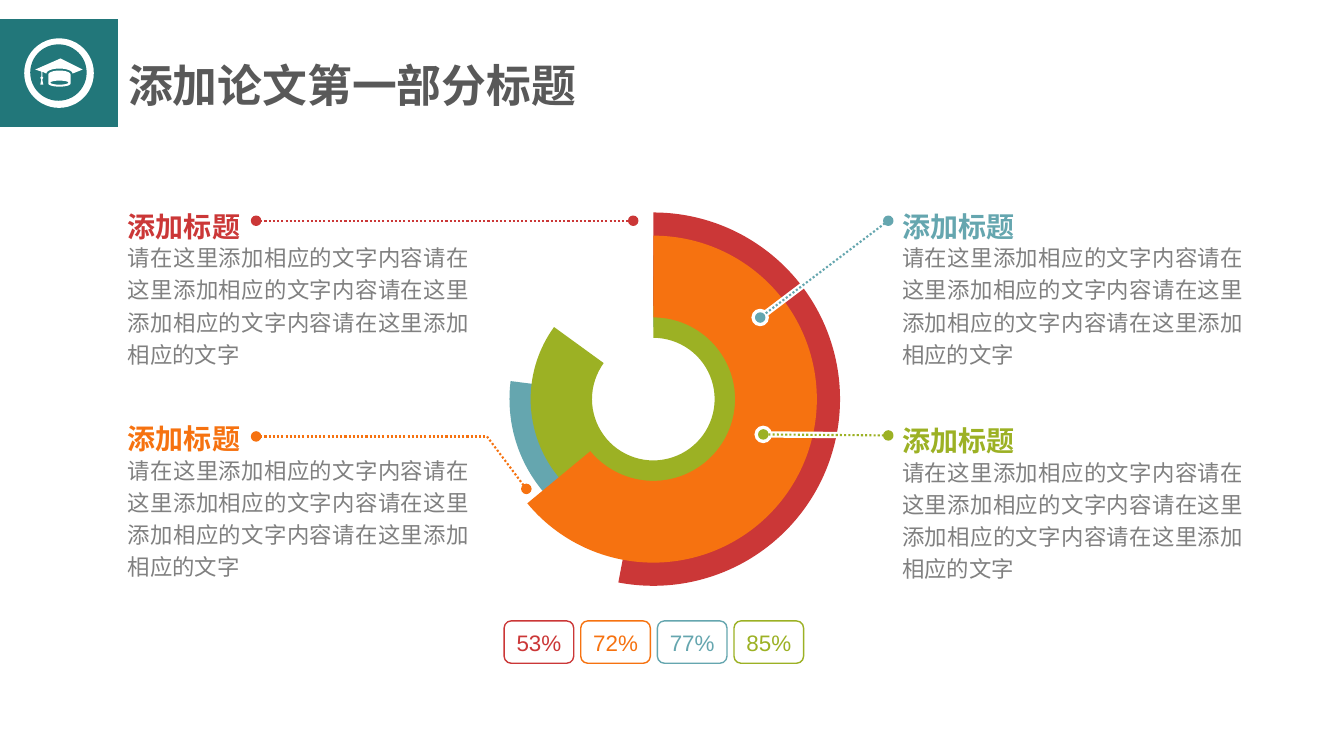
from itertools import pairwise
from math import cos, radians, sin

from lxml.etree import SubElement
from pptx import Presentation
from pptx.chart.data import CategoryChartData
from pptx.dml.color import RGBColor
from pptx.enum.chart import XL_CHART_TYPE as ChartType
from pptx.enum.dml import MSO_LINE as Dash
from pptx.enum.shapes import MSO_CONNECTOR as Connector
from pptx.enum.shapes import MSO_SHAPE as Shape
from pptx.enum.text import MSO_ANCHOR as Anchor
from pptx.enum.text import MSO_AUTO_SIZE as AutoSize
from pptx.enum.text import PP_ALIGN as Align
from pptx.oxml.ns import qn
from pptx.util import Inches, Pt

CJK = "Noto Sans CJK SC"
RED, ORANGE, TEAL, GREEN = "CB3737", "F67210", "65A6AF", "9CB124"
BRAND, WHITE, DARK, GREY = "22777A", "FFFFFF", "595959", "808080"
BODY = "请在这里添加相应的文字内容" * 3 + "请在这里添加相应的文字"


def color(value):
    return RGBColor.from_string(value)


def place(box, left, top, width, height):
    box.left, box.top = Inches(left), Inches(top)
    box.width, box.height = Inches(width), Inches(height)


def write(box, text, size, tint, font=CJK, bold=False, align=Align.LEFT, spacing=1.0):
    para = box.text_frame.paragraphs[0]
    para.text = text
    para.alignment, para.line_spacing = align, spacing
    para.font.size, para.font.bold = Pt(size), bold
    para.font.color.rgb = color(tint)
    para.font.name = font
    defaults = para._p.pPr.find(qn("a:defRPr"))
    SubElement(defaults, qn("a:ea"), typeface=font)


def add_text(slide, left, top, width, height, text, wrap=True, **style):
    box = slide.shapes.add_textbox(*map(Inches, (left, top, width, height)))
    box.text_frame.word_wrap = wrap
    box.text_frame.auto_size = AutoSize.SHAPE_TO_FIT_TEXT
    write(box, text, **style)


def add_shape(slide, kind, left, top, width, height, fill=None, line=None):
    shape = slide.shapes.add_shape(kind, *map(Inches, (left, top, width, height)))
    shape.shadow.inherit = False
    if fill:
        shape.fill.solid()
        shape.fill.fore_color.rgb = color(fill)
    else:
        shape.fill.background()
    if line:
        shape.line.color.rgb = color(line)
        shape.line.width = Pt(1)
    else:
        shape.line.fill.background()
    return shape


def add_dot(slide, center, size, tint):
    x, y = center
    add_shape(slide, Shape.OVAL, x - size / 2, y - size / 2, size, size, tint, tint)


def add_line(slide, start, end, tint, width, dash=None):
    line = slide.shapes.add_connector(Connector.STRAIGHT, *map(Inches, (*start, *end)))
    line.line.color.rgb = color(tint)
    line.line.width = Pt(width)
    if dash:
        line.line.dash_style = dash
    SubElement(line._element.spPr, qn("a:effectLst"))


def arc(x, y, radius_x, radius_y, start, end, steps=16):
    angles = [radians(start + (end - start) * i / steps) for i in range(steps + 1)]
    return [(x + radius_x * cos(a), y + radius_y * sin(a)) for a in angles]


def add_cap(slide, left, top):
    """Graduation cap: board with tassel, crown and its opening."""
    board = arc(0.24, 0.15, 0.13, 0.05, 0, -180) + [
        (0.07, 0.13), (0.07, 0.18), (0.08, 0.19), (0.07, 0.21), (0.08, 0.26), (0.05, 0.26),
        (0.06, 0.21), (0.05, 0.19), (0.06, 0.18), (0.06, 0.13), (0, 0.11), (0.25, 0), (0.47, 0.11)]
    crown = arc(0.24, 0.16, 0.11, 0.04, -180, 0) + arc(0.24, 0.25, 0.11, 0.03, 0, 180)
    opening = arc(0.24, 0.24, 0.09, 0.02, 0, 360)
    contours = [[(Inches(left + x), Inches(top + y)) for x, y in points]
                for points in (board, crown, opening)]
    builder = slide.shapes.build_freeform(*contours[0][0])
    builder.add_line_segments(contours[0][1:])
    for points in contours[1:]:
        builder.move_to(*points[0])
        builder.add_line_segments(points[1:])
    cap = builder.convert_to_shape()
    cap.shadow.inherit = False
    cap.fill.solid()
    cap.fill.fore_color.rgb = color(WHITE)
    cap.line.fill.background()


def add_header(slide, left, top):
    add_shape(slide, Shape.RECTANGLE, left, top, 1.17, 1.07, BRAND)
    title = slide.shapes.title
    place(title, left + 1.17, top + 0.07, 5.74, 0.81)
    title.text_frame.word_wrap = True
    title.text_frame.auto_size = AutoSize.NONE
    title.text_frame.vertical_anchor = Anchor.TOP
    write(title, "添加论文第一部分标题", 32, DARK, bold=True, spacing=1.5)
    # Badge
    add_shape(slide, Shape.OVAL, left + 0.24, top + 0.19, 0.69, 0.69, WHITE)
    add_shape(slide, Shape.OVAL, left + 0.3, top + 0.25, 0.56, 0.56, BRAND)
    add_cap(slide, left + 0.35, top + 0.39)


def add_note(slide, left, top, tint):
    add_text(slide, left, top + 0.46, 3.58, 1.39, BODY, size=16, tint=GREY,
             align=Align.JUSTIFY, spacing=1.2)
    add_text(slide, left, top, 1.32, 0.55, "添加标题", wrap=False, size=20, tint=tint,
             bold=True, spacing=1.5)


def add_ring(slide, center, width, height, share, tint, hole):
    data = CategoryChartData()
    data.categories = ["1", "2"]
    data.add_series("Series 1", (share, 100 - share))
    x, y = center
    chart = slide.shapes.add_chart(
        ChartType.DOUGHNUT,
        *map(Inches, (x - width / 2, y - height / 2, width, height)), data).chart
    chart.has_legend = chart.has_title = False
    chart.font.name, chart.font.size = "Calibri", Pt(10)
    chart.font.color.rgb = color("000000")
    plot = chart.plots[0]
    plot.vary_by_categories = True
    plot._element.find(qn("c:holeSize")).set("val", str(hole))
    arc_part, rest = (plot.series[0].points[i].format for i in range(2))
    arc_part.fill.solid()
    arc_part.fill.fore_color.rgb = color(tint)
    rest.fill.background()
    for part in (arc_part, rest):
        part.line.fill.background()


def add_leader(slide, points, tint, halo=False):
    """Dotted line with a dot at each end; a halo sets it off from the rings."""
    if halo:
        add_dot(slide, points[-1], 0.16, WHITE)
        add_line(slide, points[0], points[-1], WHITE, 4.5)
    for start, end in pairwise(points):
        add_line(slide, start, end, tint, 1.5, Dash.ROUND_DOT)
    for end in (points[0], points[-1]):
        add_dot(slide, end, 0.09, tint)


def add_percentages(slide, left, top):
    for i, (text, tint) in enumerate(
            [("53%", RED), ("72%", ORANGE), ("77%", TEAL), ("85%", GREEN)]):
        label = add_shape(slide, Shape.ROUNDED_RECTANGLE, left + 0.76 * i, top, 0.69, 0.42,
                          line=tint)
        label.text_frame.word_wrap = False
        label.text_frame.vertical_anchor = Anchor.MIDDLE
        write(label, text, 16, tint, font="Arial", align=Align.CENTER)


def main():
    deck = Presentation()
    deck.slide_width, deck.slide_height = Inches(13.33), Inches(7.5)
    slide = deck.slides.add_slide(deck.slide_layouts[5])
    add_header(slide, 0, 0.19)

    # Notes and the leaders beside the rings
    add_leader(slide, [(2.54, 2.19), (6.28, 2.19)], RED)
    add_leader(slide, [(2.54, 4.33), (4.83, 4.33), (5.22, 4.85)], ORANGE)
    for left, top, tint in [(1.17, 1.86, RED), (1.17, 3.97, ORANGE),
                            (8.85, 1.86, TEAL), (8.85, 3.99, GREEN)]:
        add_note(slide, left, top, tint)

    # Rings, back to front
    for width, height, share, tint, hole in [
            (3.85, 3.13, 77, TEAL, 88), (3.34, 2.71, 85, GREEN, 86),
            (4.91, 3.98, 53, RED, 90), (4.34, 3.52, 64, ORANGE, 90)]:
        add_ring(slide, (6.48, 3.96), width, height, share, tint, hole)

    add_percentages(slide, 5, 6.16)

    # Leaders over the rings
    add_leader(slide, [(8.81, 2.19), (7.54, 3.15)], TEAL, halo=True)
    add_leader(slide, [(8.81, 4.32), (7.57, 4.31)], GREEN, halo=True)
    deck.save("out.pptx")


if __name__ == "__main__":
    main()
